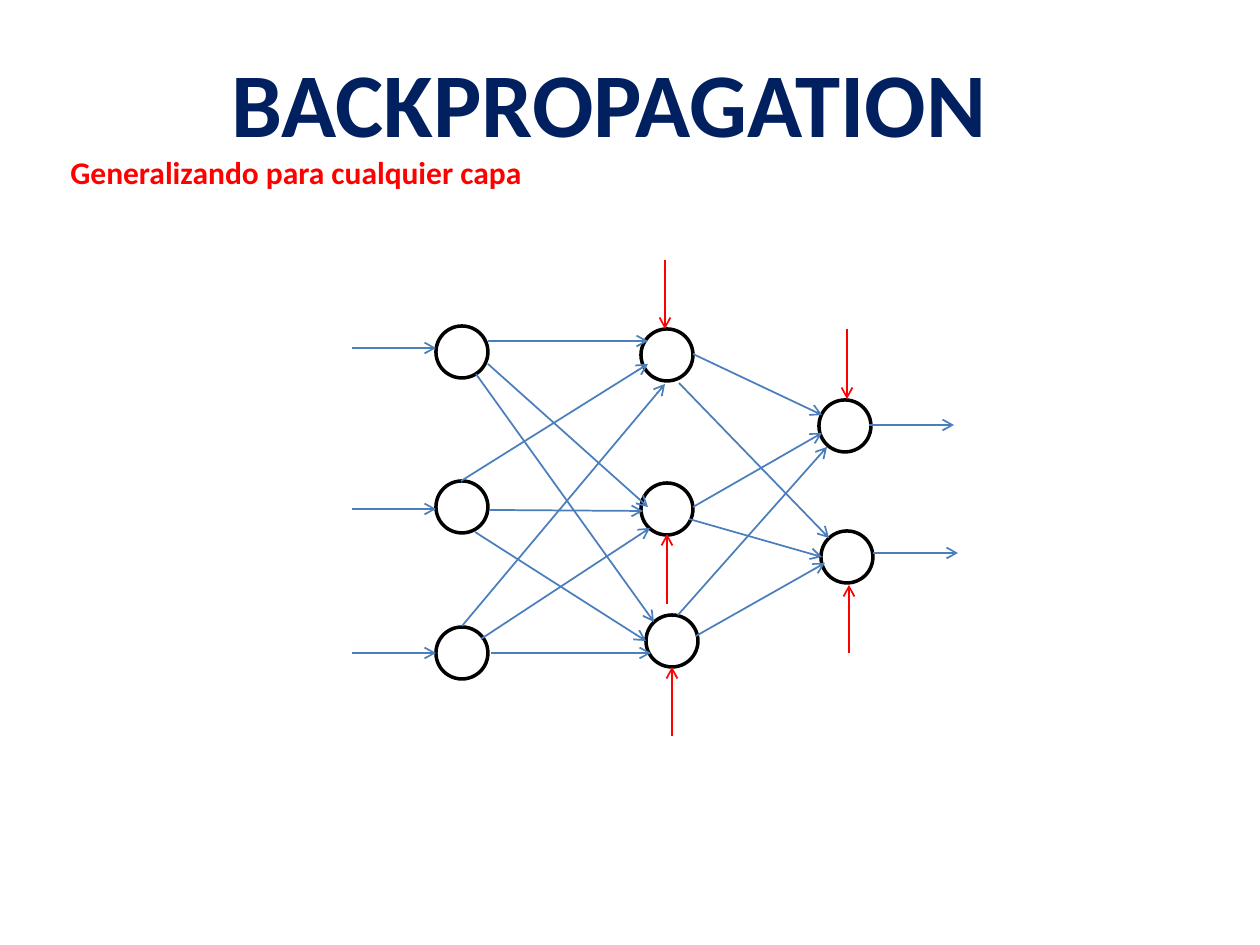
from lxml import etree
from pptx import Presentation
from pptx.dml.color import RGBColor
from pptx.enum.shapes import MSO_CONNECTOR, MSO_SHAPE
from pptx.enum.text import MSO_ANCHOR, PP_ALIGN
from pptx.oxml.ns import qn
from pptx.util import Pt

NAVY = RGBColor(0x00, 0x20, 0x60)
RED = RGBColor(0xFF, 0x00, 0x00)
BLUE = RGBColor(0x4B, 0x7E, 0xBC)
BLACK = RGBColor(0x00, 0x00, 0x00)
OVAL = MSO_SHAPE.OVAL
STRAIGHT = MSO_CONNECTOR.STRAIGHT
TOP, MIDDLE = MSO_ANCHOR.TOP, MSO_ANCHOR.MIDDLE
LEFT, CENTER = PP_ALIGN.LEFT, PP_ALIGN.CENTER

SCALE = 914400 / 126  # EMU per px
WIDTH, HEIGHT = 1260, 945
NODE = 52

# text, box (left, top, width, height), anchor, alignment, font
TEXTS = [
    ("Generalizando para cualquier capa", (58, 147, 1101, 694), TOP, LEFT,
     {"size": Pt(18), "color": RED}),
    ("BACKPROPAGATION", (44, 19, 1130, 164), MIDDLE, CENTER,
     {"size": Pt(52), "color": NAVY}),
]

# left and top of each neuron, by layer
LAYERS = {
    "input": [(436, 326), (436, 481), (436, 627)],
    "hidden": [(641, 329), (641, 483), (646, 615)],
    "output": [(819, 400), (821, 531)],
}

# start x, start y, end x, end y
INPUTS = [(352, y, 436, y) for y in (348, 509, 653)]
OUTPUTS = [(869, 425, 954, 425), (873, 553, 958, 553)]
TO_HIDDEN = [
    (488, 341, 648, 341), (488, 364, 648, 507), (476, 374, 654, 622),
    (461, 481, 648, 364), (490, 510, 643, 511), (475, 532, 646, 641),
    (462, 626, 665, 384), (481, 639, 650, 528), (491, 653, 651, 653),
]
TO_OUTPUT = [
    (693, 354, 822, 415), (679, 383, 829, 538),
    (693, 507, 822, 433), (689, 519, 822, 557),
    (678, 615, 827, 447), (696, 636, 825, 563),
]
BIASES = [
    (665, 260, 665, 329), (667, 604, 667, 534), (672, 736, 672, 667),
    (847, 329, 847, 399), (849, 653, 849, 585),
]


def px(*values):
    return [round(v * SCALE) for v in values]


def add_text(slide, text, box, anchor, align, style):
    frame = slide.shapes.add_textbox(*px(*box)).text_frame
    frame.word_wrap = True
    frame.vertical_anchor = anchor
    para = frame.paragraphs[0]
    para.alignment = align
    run = para.add_run()
    run.text = text
    font = {"name": "Calibri", "bold": True, "size": style["size"]}
    for key, value in font.items():
        setattr(run.font, key, value)
    run.font.color.rgb = style["color"]


def add_node(slide, left, top):
    node = slide.shapes.add_shape(OVAL, *px(left, top, NODE, NODE))
    node.shadow.inherit = False
    node.fill.background()
    node.line.color.rgb = BLACK
    node.line.width = Pt(2)


def add_arrow(slide, ends, color):
    arrow = slide.shapes.add_connector(STRAIGHT, *px(*ends))
    arrow.line.color.rgb = color
    arrow.line.width = Pt(1)
    etree.SubElement(arrow.line._get_or_add_ln(), qn("a:tailEnd"), type="arrow")
    etree.SubElement(arrow._element.spPr, qn("a:effectLst"))


def main():
    deck = Presentation()
    deck.slide_width, deck.slide_height = px(WIDTH, HEIGHT)
    slide = deck.slides.add_slide(deck.slide_layouts[6])
    for item in TEXTS:
        add_text(slide, *item)
    for layer in LAYERS.values():
        for spot in layer:
            add_node(slide, *spot)
    for ends in INPUTS + TO_HIDDEN + TO_OUTPUT + OUTPUTS:
        add_arrow(slide, ends, BLUE)
    for ends in BIASES:
        add_arrow(slide, ends, RED)
    deck.save("out.pptx")


if __name__ == "__main__":
    main()
